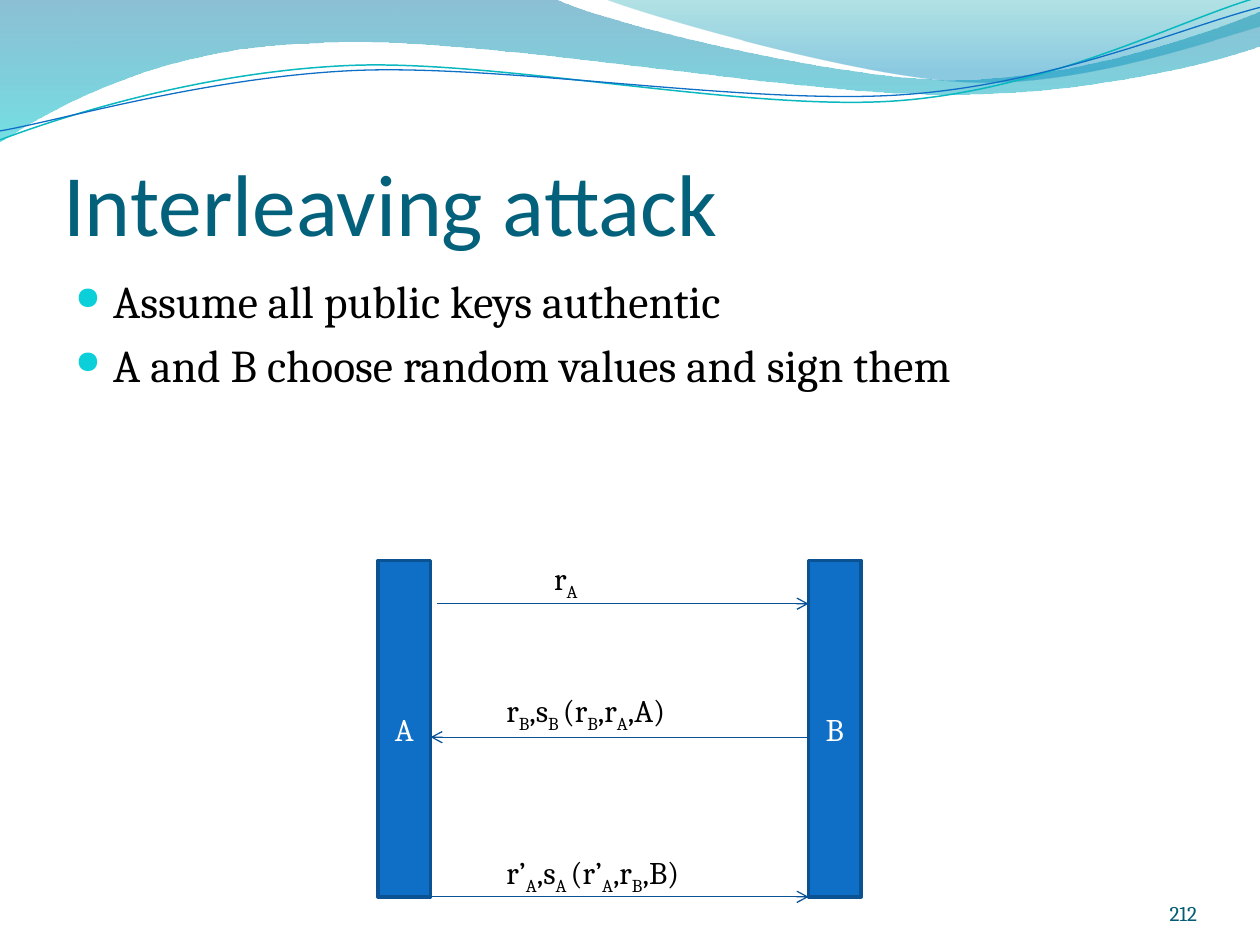
from math import cos, radians, sin

from lxml.etree import SubElement
from pptx import Presentation
from pptx.dml.color import RGBColor
from pptx.enum.shapes import MSO_CONNECTOR as Connector, MSO_SHAPE as Shape
from pptx.enum.text import MSO_ANCHOR as Anchor, MSO_AUTO_SIZE as AutoSize, PP_ALIGN as Align
from pptx.oxml.ns import qn
from pptx.util import Cm, Pt

BAR_TOP, BAR_WIDTH, BAR_HEIGHT = 11.3, 1.06, 6.78
LEFT_BAR, RIGHT_BAR = 7.62, 16.3
LEFT_EDGE = LEFT_BAR + BAR_WIDTH
BAR_BOTTOM = 18.08
TILT = 2.7

BROAD_WAVE = [
    [(0, 0)], [(11.18, -0.03)],
    [(12.09, 0.43), (16.87, 1.6), (19.25, 1.6)],
    [(21.67, 1.6), (24.33, 0.66), (25.4, 0.23)],
    [(25.43, 0.91)],
    [(24.97, 1.12), (22.1, 1.93), (18.95, 1.9)],
    [(15.8, 1.9), (9.7, 0.71), (6.53, 0.86)],
    [(3.28, 0.91), (1.17, 2.11), (-0.03, 2.87)],
    [(0, 0)],
]
CORNER_WAVE = [
    [(12.17, -0.03)],
    [(12.93, 0.28), (17.32, 1.57), (19.53, 1.65)],
    [(21.74, 1.75), (24.41, 0.81), (25.4, 0.53)],
    [(25.4, 0)],
    [(12.17, -0.03)],
]
TEAL_STRAND = [
    [(0, 2.82)],
    [(1.22, 2.36), (4.01, 1.45), (7.04, 1.32)],
    [(10.03, 1.19), (15.06, 2.26), (18.11, 2.03)],
    [(21.16, 1.8), (23.83, 0.38), (25.35, -0.05)],
]
BLUE_STRAND = [
    [(0, 2.64)],
    [(1.19, 2.44), (4.17, 1.55), (7.19, 1.42)],
    [(10.24, 1.3), (15.16, 2.13), (18.21, 1.91)],
    [(21.23, 1.7), (23.9, 0.53), (25.4, 0.15)],
]


def color(value):
    return RGBColor.from_string(value)


def style(font, size, value, name="Cambria"):
    font.size, font.name = Pt(size), name
    font.color.rgb = color(value)


def set_line(line, value, width):
    line.color.rgb = color(value)
    line.width = Pt(width)


def turn(point, center, angle):
    x, y = point[0] - center[0], point[1] - center[1]
    c, s = cos(radians(angle)), sin(radians(angle))
    return center[0] + x * c - y * s, center[1] + x * s + y * c


def add_outline(page, segments, close):
    start, *rest = [(Cm(x), Cm(y)) for segment in segments for x, y in segment]
    builder = page.shapes.build_freeform(*start)
    builder.add_line_segments(rest, close=close)
    outline = builder.convert_to_shape()
    outline.shadow.inherit = False
    nodes = iter(list(outline.element.spPr.iter(qn("a:lnTo"))))
    for segment in segments[1:]:
        first, *others = [next(nodes) for _ in segment]
        if others:
            curve = first.makeelement(qn("a:cubicBezTo"))
            first.addprevious(curve)
            for node in (first, *others):
                curve.append(node[0])
                node.getparent().remove(node)
    return outline


def add_wave(page, segments, stops):
    wave = add_outline(page, segments, True)
    wave.line.fill.background()
    wave.fill.gradient()
    wave.fill.gradient_angle = 270
    for stop, (position, value, _) in zip(wave.fill.gradient_stops, stops):
        stop.position = position
        stop.color.rgb = color(value)
    colors = wave.element.spPr.find(qn("a:gradFill")).iter(qn("a:srgbClr"))
    for node, (_, _, opacity) in zip(list(colors), stops):
        SubElement(node, qn("a:alpha")).set("val", str(opacity * 1000))


def add_strand(page, segments, center, value, width):
    level = [[turn(point, center, TILT) for point in segment] for segment in segments]
    strand = add_outline(page, level, False)
    strand.rotation = 360 - TILT
    strand.fill.background()
    set_line(strand.line, value, width)


def add_textbox(page, left, top, width, height):
    box = page.shapes.add_textbox(Cm(left), Cm(top), Cm(width), Cm(height))
    box.text_frame.word_wrap = True
    return box.text_frame


def set_title(page, text):
    title = page.shapes.title
    title.left, title.top, title.width, title.height = Cm(1.27), Cm(1.96), Cm(22.86), Cm(3.17)
    frame = title.text_frame
    frame.text = text
    frame.vertical_anchor = Anchor.BOTTOM
    frame.margin_left = frame.margin_right = frame.margin_bottom = 0
    para = frame.paragraphs[0]
    para.alignment = Align.LEFT
    style(para.runs[0].font, 50, "04617B", "Calibri")


def add_bullets(page, lines):
    frame = add_textbox(page, 1.27, 5.38, 22.86, 3.73)
    frame.text = "\n".join(lines)
    for index, para in enumerate(frame.paragraphs):
        para.space_before = Pt(5.2 if index else 0)
        props = para._p.get_or_add_pPr()
        props.set("marL", str(Cm(0.76)))
        props.set("indent", str(Cm(-0.76)))
        SubElement(SubElement(props, qn("a:buClr")), qn("a:srgbClr")).set("val", "0BD0D9")
        SubElement(props, qn("a:buSzPct")).set("val", "70000")
        SubElement(props, qn("a:buChar")).set("char", "●")
        style(para.runs[0].font, 26, "000000")


def add_bar(page, left, name):
    bar = page.shapes.add_shape(Shape.RECTANGLE, Cm(left), Cm(BAR_TOP), Cm(BAR_WIDTH), Cm(BAR_HEIGHT))
    bar.shadow.inherit = False
    bar.fill.solid()
    bar.fill.fore_color.rgb = color("0F6FC6")
    set_line(bar.line, "0B5292", 2)
    frame = bar.text_frame
    frame.text = name
    frame.vertical_anchor = Anchor.MIDDLE
    frame.paragraphs[0].alignment = Align.CENTER
    style(frame.paragraphs[0].runs[0].font, 18, "FFFFFF")


def add_arrow(page, start, end, height):
    arrow = page.shapes.add_connector(Connector.STRAIGHT, Cm(start), Cm(height), Cm(end), Cm(height))
    set_line(arrow.line, "095295", 0.75)
    SubElement(arrow.line._get_or_add_ln(), qn("a:tailEnd")).set("type", "arrow")
    SubElement(arrow.element.spPr, qn("a:effectLst"))


def add_message(page, left, top, width, pieces):
    frame = add_textbox(page, left, top, width, 1.02)
    frame.auto_size = AutoSize.SHAPE_TO_FIT_TEXT
    for index, piece in enumerate(pieces):
        span = frame.paragraphs[0].add_run()
        span.text = piece
        style(span.font, 18, "000000")
        if index % 2:
            span._r.get_or_add_rPr().set("baseline", "-25000")


def add_number(page, text):
    frame = add_textbox(page, 22.02, 17.65, 2.11, 1.02)
    frame.margin_left = frame.margin_right = frame.margin_top = frame.margin_bottom = 0
    frame.vertical_anchor = Anchor.BOTTOM
    frame.text = text
    frame.paragraphs[0].alignment = Align.RIGHT
    style(frame.paragraphs[0].runs[0].font, 12, "045D75")


def main():
    deck = Presentation()
    deck.slide_width, deck.slide_height = Cm(25.4), Cm(19.05)
    page = deck.slides.add_slide(deck.slide_layouts[5])
    add_wave(page, BROAD_WAVE, [(0, "0074A1", 45), (1, "00C6CF", 55)])
    add_wave(page, CORNER_WAVE, [(0, "00A1A9", 30), (0.8, "008BBF", 45)])
    add_strand(page, TEAL_STRAND, (12.67, 1.46), "0AB8BF", 0.85)
    add_strand(page, BLUE_STRAND, (12.69, 1.5), "0F6FC6", 0.75)
    set_title(page, "Interleaving attack")
    add_bullets(page, ["Assume all public keys authentic", "A and B choose random values and sign them"])
    add_bar(page, LEFT_BAR, "A")
    add_bar(page, RIGHT_BAR, "B")
    add_arrow(page, 8.81, RIGHT_BAR, 12.17)
    add_arrow(page, RIGHT_BAR, LEFT_EDGE, 14.86)
    add_arrow(page, LEFT_EDGE, RIGHT_BAR, BAR_BOTTOM)
    add_message(page, 10.92, 11.15, 1.7, ["r", "A"])
    add_message(page, 9.96, 13.81, 4.65, ["r", "B", ",s", "B ", "(r", "B", ",r", "A", ",A)"])
    add_message(page, 9.96, 17.07, 4.65, ["r’", "A", ",s", "A ", "(r’", "A", ",r", "B", ",B)"])
    add_number(page, "212")
    deck.save("out.pptx")


if __name__ == "__main__":
    main()
